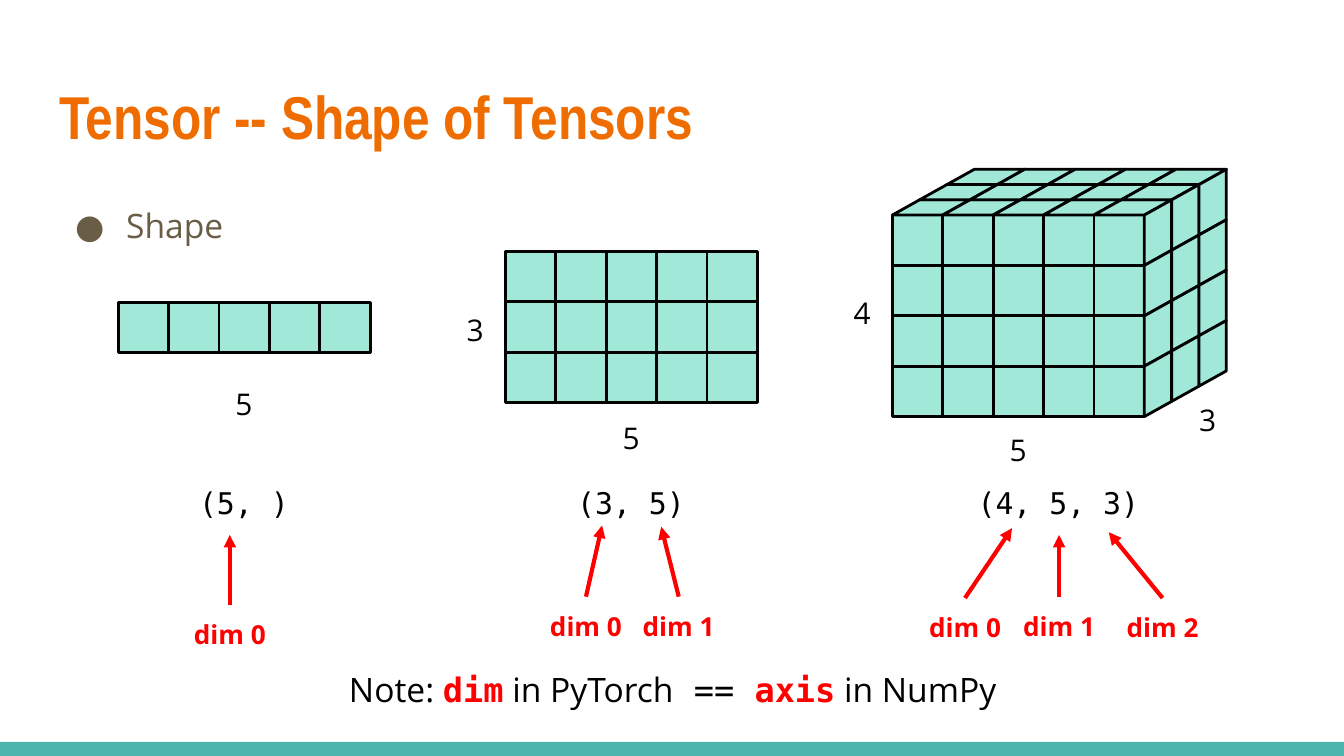
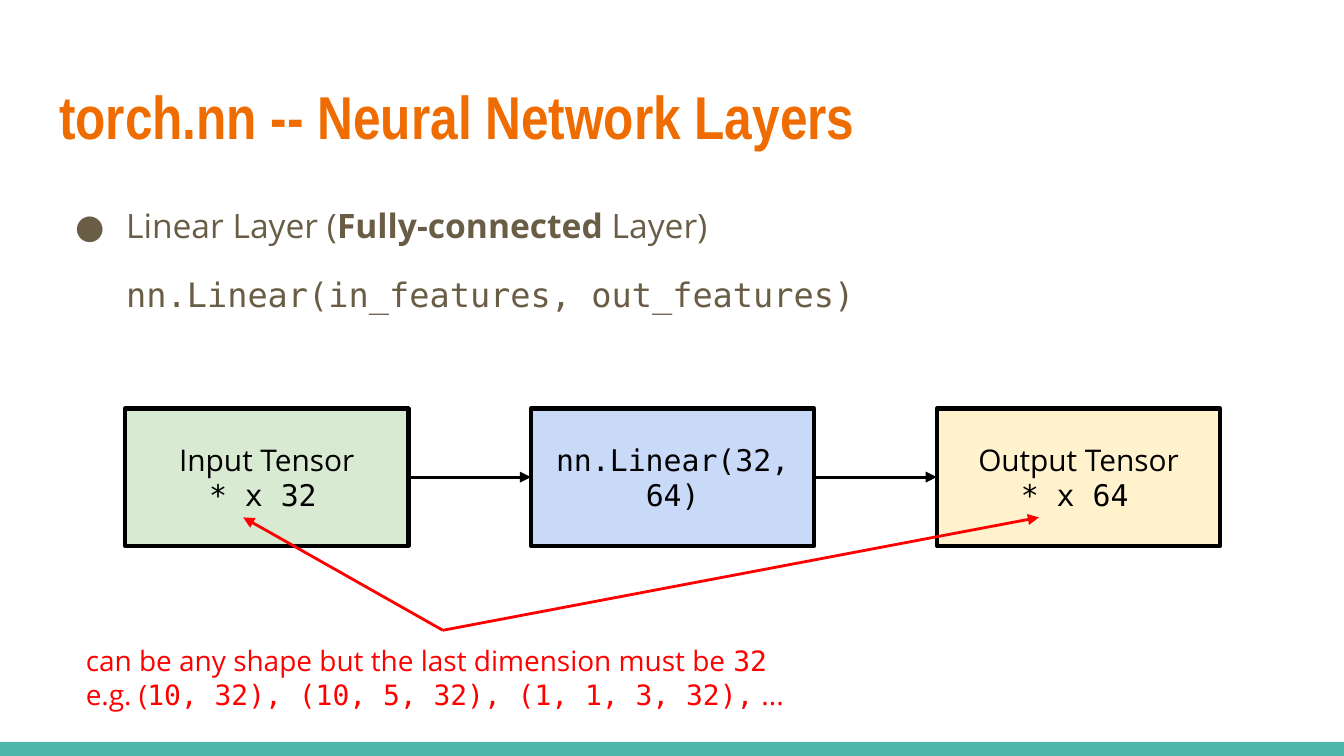
from lxml import etree
from pptx import Presentation
from pptx import util as u
from pptx.dml.color import RGBColor
from pptx.enum import shapes, text
from pptx.oxml.ns import qn

ORANGE = RGBColor(0xEF, 0x6C, 0x00)
TEAL = RGBColor(0x4D, 0xB6, 0xAC)
BROWN = RGBColor(0x69, 0x5D, 0x46)
MINT = RGBColor(0xA1, 0xE8, 0xD9)
GREEN = RGBColor(0xD9, 0xEA, 0xD3)
BLUE = RGBColor(0xC9, 0xDA, 0xF8)
YELLOW = RGBColor(0xFF, 0xF2, 0xCC)
RED = RGBColor(0xFF, 0x00, 0x00)
BLACK = RGBColor(0x00, 0x00, 0x00)

TITLE_FONT, SANS, MONO = "Arial Narrow", "Open Sans", "DejaVu Sans Mono"
RECTANGLE = shapes.MSO_SHAPE.RECTANGLE
PARALLELOGRAM = shapes.MSO_SHAPE.PARALLELOGRAM
CENTER = text.PP_ALIGN.CENTER
LEFT = text.PP_ALIGN.LEFT
TOP, MIDDLE = text.MSO_ANCHOR.TOP, text.MSO_ANCHOR.MIDDLE

SLIDE_WIDTH = u.Inches(10)
SLIDE_HEIGHT = SLIDE_WIDTH * 9 // 16
CELL = 3 / 8
SLANT_X = 0.61 / 3
SLANT_Y = 0.34 / 3


def apply(target, values):
    for name, value in values.items():
        setattr(target, name, value)


def inches(*lengths):
    return [u.Inches(length) for length in lengths]


def style(size, color, name=SANS, bold=False):
    return {"size": u.Pt(size), "color": color, "name": name, "bold": bold}


def write(box, paragraphs, align=LEFT, anchor=TOP):
    frame = box.text_frame
    apply(frame, {
        "word_wrap": True,
        "auto_size": text.MSO_AUTO_SIZE.NONE,
        "vertical_anchor": anchor,
        "margin_left": u.Inches(0.1),
        "margin_right": u.Inches(0.1),
        "margin_top": u.Inches(0.1),
        "margin_bottom": u.Inches(0.1),
    })
    for index, spans in enumerate(paragraphs):
        para = frame.add_paragraph() if index else frame.paragraphs[0]
        para.alignment = align
        for content, look in spans:
            span = para.add_run()
            span.text = content
            apply(span.font, {key: look[key] for key in ("size", "name", "bold")})
            span.font.color.rgb = look["color"]


def add_text(page, place, paragraphs, align=CENTER):
    box = page.shapes.add_textbox(*inches(*place))
    write(box, paragraphs, align)
    return box


def add_block(container, kind, place, fill, weight=None):
    block = container.add_shape(kind, *inches(*place))
    block.shadow.inherit = False
    block.fill.solid()
    block.fill.fore_color.rgb = fill
    if weight:
        block.line.color.rgb = BLACK
        block.line.width = u.Pt(weight)
    else:
        block.line.fill.background()
    return block


def add_arrow(page, start, end, color, weight, source=None, target=None):
    arrow = page.shapes.add_connector(
        shapes.MSO_CONNECTOR.STRAIGHT, *inches(*start, *end))
    arrow.line.color.rgb = color
    arrow.line.width = u.Pt(weight)
    if source:
        arrow.begin_connect(*source)
    if target:
        arrow.end_connect(*target)
    properties = arrow._element.spPr
    etree.SubElement(properties.find(qn("a:ln")), qn("a:tailEnd"), type="triangle")
    etree.SubElement(properties, qn("a:effectLst"))


def add_page(deck, title):
    page = deck.slides.add_slide(deck.slide_layouts[5])
    add_block(page.shapes, RECTANGLE, (0, 5.52, 10, 0.11), TEAL)
    heading = page.shapes.title
    places = inches(0.34, 0.49, 9.32, 0.77)
    apply(heading, dict(zip(("left", "top", "width", "height"), places)))
    write(heading, [[(title, style(32.4, ORANGE, TITLE_FONT, True))]])
    return page


def add_body(page, height, paragraphs):
    body = add_text(page, (0.34, 1.38, 9.32, height), paragraphs, LEFT)
    for index, para in enumerate(body.text_frame.paragraphs):
        para.line_spacing = 1.15
        properties = para._p.get_or_add_pPr()
        properties.set("marL", str(u.Inches(0.5)))
        if index:
            apply(para, {"space_before": u.Pt(12), "space_after": u.Pt(12)})
            properties.set("indent", "0")
        else:
            properties.set("indent", str(u.Inches(-0.38)))
            color = etree.SubElement(properties, qn("a:buClr"))
            etree.SubElement(color, qn("a:srgbClr"), val=str(BROWN))
            etree.SubElement(properties, qn("a:buFont"), typeface=SANS)
            etree.SubElement(properties, qn("a:buChar"), char="●")


def add_tensor(page, left, top, rows, columns, depth=0):
    cells = page.shapes.add_group_shape().shapes
    for row in range(rows):
        for column in range(columns):
            place = (left + column * CELL, top + row * CELL, CELL, CELL)
            add_block(cells, RECTANGLE, place, MINT, 1.5)
    for layer in range(depth):
        for column in range(columns):
            place = (left + column * CELL + layer * SLANT_X,
                     top - (layer + 1) * SLANT_Y, CELL + SLANT_X, SLANT_Y)
            lid = add_block(cells, PARALLELOGRAM, place, MINT, 1.5)
            lid.adjustments[0] = SLANT_X / SLANT_Y
    side_width = CELL + SLANT_Y
    for row in range(rows):
        for layer in range(depth):
            center_x = left + columns * CELL + (layer + 0.5) * SLANT_X
            center_y = top + row * CELL + (CELL - SLANT_Y) / 2 - layer * SLANT_Y
            place = (center_x - side_width / 2, center_y - SLANT_X / 2,
                     side_width, SLANT_X)
            side = add_block(cells, PARALLELOGRAM, place, MINT, 1.5)
            side.adjustments[0] = SLANT_Y / SLANT_X
            side.rotation = 90
            side._element.spPr.xfrm.set("flipH", "1")


def add_dimension(page, name, center, top, tip):
    label = add_text(page, (center - 0.39, top, 0.78, 0.44),
                     [[(name, style(14, RED, bold=True))]])
    add_arrow(page, (center, top), tip, RED, 2.25, source=(label, 0))


def add_layer_box(page, left, fill, paragraphs):
    box = add_block(page.shapes, RECTANGLE, (left, 3.04, 2.11, 1.02), fill, 2.25)
    write(box, paragraphs, CENTER, MIDDLE)
    return box


def build_shapes_page(deck):
    page = add_page(deck, "Tensor -- Shape of Tensors")
    add_body(page, 0.71, [[("Shape", style(18, BROWN))]])

    add_tensor(page, 0.88, 2.25, 1, 5)
    add_tensor(page, 3.76, 1.87, 3, 5)
    add_tensor(page, 6.64, 1.6, 4, 5, 3)

    for left, shape_text in ((0.72, "(5, )"), (3.6, "(3, 5)"), (6.78, "(4, 5, 3)")):
        add_text(page, (left, 3.51, 2.19, 0.47),
                 [[(shape_text, style(16, BLACK, MONO))]])

    plain, code = style(18, BLACK), style(18, BLACK, MONO)
    keyword = style(18, RED, MONO, True)
    add_text(page, (2.41, 4.88, 5.19, 0.5), [[
        ("Note: ", plain), ("dim", keyword), (" in PyTorch", plain),
        (" == ", code), ("axis", keyword), (" in NumPy", plain)]])

    for name, center, top, tip in (
        ("dim 0", 1.71, 4.5, (1.71, 3.98)),
        ("dim 0", 4.36, 4.44, (4.48, 3.91)),
        ("dim 1", 5.05, 4.44, (4.92, 3.92)),
        ("dim 0", 7.18, 4.45, (7.53, 3.93)),
        ("dim 1", 7.88, 4.44, (7.88, 3.98)),
        ("dim 2", 8.65, 4.45, (8.25, 3.96)),
    ):
        add_dimension(page, name, center, top, tip)

    for count, left, top in (
        ("5", 1.59, 2.77), ("5", 4.47, 3.02), ("3", 3.31, 2.22),
        ("5", 7.35, 3.11), ("4", 6.19, 2.09), ("3", 8.76, 2.89),
    ):
        add_text(page, (left, top, 0.45, 0.47), [[(count, style(16, BLACK))]])


def build_layers_page(deck):
    page = add_page(deck, "torch.nn -- Neural Network Layers")
    brown = style(18, BROWN)
    add_body(page, 1.31, [
        [("Linear Layer (", brown),
         ("Fully-connected", style(18, BROWN, bold=True)), (" Layer)", brown)],
        [("nn.Linear(in_features, out_features)", style(18, BROWN, MONO))]])

    plain, code = style(16, BLACK), style(16, BLACK, MONO)
    boxes = [add_layer_box(page, 0.93 + index * 3.02, fill, paragraphs)
             for index, (fill, paragraphs) in enumerate((
                 (GREEN, [[("Input Tensor", plain)],
                          [("* x 32", code), (" ", plain)]]),
                 (BLUE, [[("nn.Linear(32, 64)", code)]]),
                 (YELLOW, [[("Output Tensor", plain)],
                           [("* x 64", code), (" ", plain)]]),
             ))]
    for source, target in zip(boxes, boxes[1:]):
        add_arrow(page, (0, 0), (1, 1), BLACK, 1.5, (source, 3), (target, 1))

    plain, code = style(15, RED), style(15, RED, MONO)
    remark = add_text(page, (0.54, 4.69, 5.51, 0.71), [
        [("can be any shape but the last dimension must be ", plain), ("32", code)],
        [("e.g. (", plain), ("10, 32), (10, 5, 32), (1, 1, 3, 32),", code),
         (" ...", plain)]], LEFT)
    for tip in ((1.81, 3.85), (7.73, 3.85)):
        add_arrow(page, (3.3, 4.69), tip, RED, 1.5, source=(remark, 0))


def main():
    deck = Presentation()
    apply(deck, {"slide_width": SLIDE_WIDTH, "slide_height": SLIDE_HEIGHT})
    build_shapes_page(deck)
    build_layers_page(deck)
    deck.save("out.pptx")


if __name__ == "__main__":
    main()
